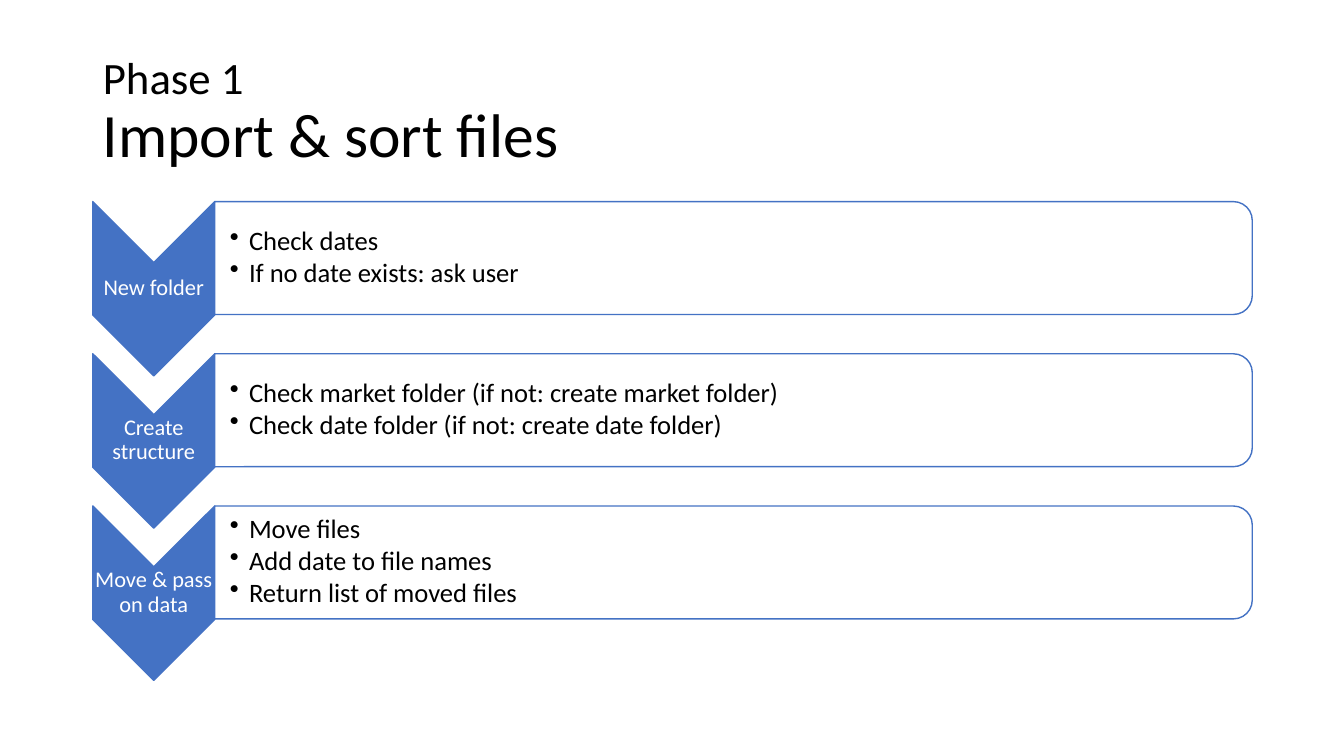
from dataclasses import dataclass

from lxml.etree import SubElement
from pptx import Presentation
from pptx.dml.color import RGBColor
from pptx.enum.shapes import MSO_SHAPE
from pptx.enum.text import MSO_ANCHOR, MSO_AUTO_SIZE, PP_ALIGN
from pptx.oxml.ns import qn
from pptx.shapes.autoshape import Shape
from pptx.slide import Slide
from pptx.text.text import TextFrame, _Paragraph
from pptx.util import Inches, Pt


@dataclass(frozen=True)
class Theme:
    font: str = "Calibri"
    accent: RGBColor = RGBColor(0x44, 0x72, 0xC4)
    dark: RGBColor = RGBColor(0, 0, 0)
    light: RGBColor = RGBColor(0xFF, 0xFF, 0xFF)
    phase_size: int = 32
    title_size: int = 44
    label_size: int = 16
    list_size: int = 19
    line_width: int = 1
    line_spacing: float = 0.9


@dataclass(frozen=True)
class Box:
    """A visible area of the slide, in inches."""
    left: float
    top: float
    width: float
    height: float


@dataclass(frozen=True)
class Step:
    label: str
    tasks: tuple[str, ...]


THEME = Theme()
TITLE_BOX = Box(0.92, 0.4, 11.5, 1.45)
FIRST_TOP = 2.0
STEP_PITCH = 1.51
STEPS = (
    Step("New folder", ("Check dates", "If no date exists: ask user")),
    Step("Create structure", (
        "Check market folder (if not: create market folder)",
        "Check date folder (if not: create date folder)",
    )),
    Step("Move & pass on data", (
        "Move files", "Add date to file names", "Return list of moved files",
    )),
)


def style_paragraph(paragraph: _Paragraph, size: int, color: RGBColor) -> None:
    paragraph.line_spacing = THEME.line_spacing
    paragraph.font.name = THEME.font
    paragraph.font.size = Pt(size)
    paragraph.font.color.rgb = color


def add_bullet(paragraph: _Paragraph) -> None:
    properties = paragraph._p.get_or_add_pPr()
    properties.set("marL", str(Inches(0.19)))
    properties.set("indent", str(Inches(-0.19)))
    SubElement(properties, qn("a:buChar")).set("char", "•")


def add_turned_shape(slide: Slide, kind: MSO_SHAPE, box: Box, fill: RGBColor) -> Shape:
    """Add a shape turned by 90 degrees so that it covers the given box."""
    left = box.left + (box.width - box.height) / 2
    top = box.top + (box.height - box.width) / 2
    shape = slide.shapes.add_shape(
        kind, Inches(left), Inches(top), Inches(box.height), Inches(box.width))
    shape.rotation = 90
    shape.shadow.inherit = False
    shape.fill.solid()
    shape.fill.fore_color.rgb = fill
    shape.line.color.rgb = THEME.accent
    shape.line.width = Pt(THEME.line_width)
    return shape


def add_text_frame(slide: Slide, box: Box, left_margin: float) -> TextFrame:
    text_box = slide.shapes.add_textbox(
        Inches(box.left), Inches(box.top), Inches(box.width), Inches(box.height))
    frame = text_box.text_frame
    frame.word_wrap = True
    frame.vertical_anchor = MSO_ANCHOR.MIDDLE
    frame.margin_left = Inches(left_margin)
    frame.margin_top = frame.margin_right = frame.margin_bottom = Inches(0.01)
    return frame


def add_title(slide: Slide) -> None:
    title = slide.shapes.title
    title.left, title.top = Inches(TITLE_BOX.left), Inches(TITLE_BOX.top)
    title.width, title.height = Inches(TITLE_BOX.width), Inches(TITLE_BOX.height)
    frame = title.text_frame
    frame.auto_size = MSO_AUTO_SIZE.NONE
    frame.vertical_anchor = MSO_ANCHOR.MIDDLE
    paragraph = frame.paragraphs[0]
    paragraph.alignment = PP_ALIGN.LEFT
    style_paragraph(paragraph, THEME.title_size, THEME.dark)
    phase = paragraph.add_run()
    phase.text = "Phase 1"
    phase.font.size = Pt(THEME.phase_size)
    paragraph.add_line_break()
    paragraph.add_run().text = "Import & sort files"


def add_step(slide: Slide, step: Step, top: float) -> None:
    add_turned_shape(slide, MSO_SHAPE.CHEVRON, Box(0.92, top, 1.21, 1.73), THEME.accent)
    label = add_text_frame(slide, Box(0.92, top + 0.6, 1.21, 0.52), 0.01).paragraphs[0]
    label.text = step.label
    label.alignment = PP_ALIGN.CENTER
    style_paragraph(label, THEME.label_size, THEME.light)

    add_turned_shape(
        slide, MSO_SHAPE.ROUND_2_SAME_RECTANGLE, Box(2.13, top, 10.29, 1.12), THEME.light)
    tasks = add_text_frame(slide, Box(2.13, top + 0.05, 10.24, 1.01), 0.15)
    for index, task in enumerate(step.tasks):
        paragraph = tasks.add_paragraph() if index else tasks.paragraphs[0]
        paragraph.text = task
        paragraph.space_after = Pt(2.5)
        style_paragraph(paragraph, THEME.list_size, THEME.dark)
        add_bullet(paragraph)


def main() -> None:
    presentation = Presentation()
    presentation.slide_width = Inches(13.33)
    presentation.slide_height = Inches(7.5)
    title_only = presentation.slide_layouts.get_by_name("Title Only")
    slide = presentation.slides.add_slide(title_only)
    add_title(slide)
    for index, step in enumerate(STEPS):
        add_step(slide, step, FIRST_TOP + index * STEP_PITCH)
    presentation.save("out.pptx")


if __name__ == "__main__":
    main()
